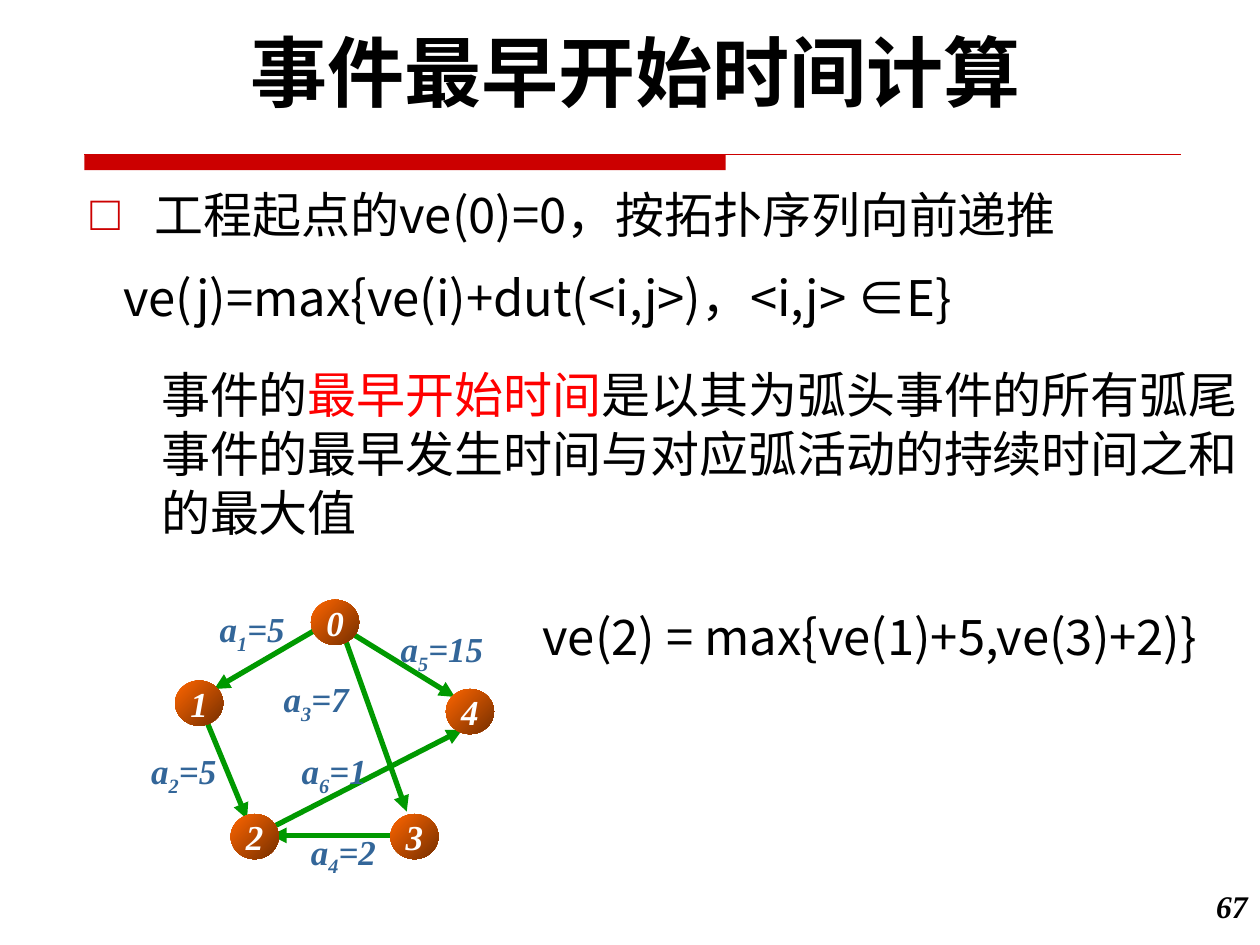
from lxml import etree
from pptx import Presentation
from pptx import util as u
from pptx.dml.color import RGBColor
from pptx.enum import shapes, text
from pptx.oxml.ns import qn

BLACK, RED, BAR = "000000", "FF0000", "CC0000"
GREEN, BLUE, WHITE = "009900", "336699", "FFFFFF"
SANS, SERIF = "Noto Sans CJK SC", "Times New Roman"
BODY = {"size": u.Pt(28), "name": SANS}
LABEL = {"size": u.Pt(20), "name": SERIF, "bold": True, "italic": True}
LINE = u.Pt(33.8)


def rgb(value):
    return RGBColor.from_string(value)


class Deck:
    """Holds the style and the current slide."""

    def __init__(self, prs):
        self.s = prs.slides.add_slide(prs.slide_layouts[1])

    def place(self, sp, *box):
        for name, value in zip(("left", "top", "width", "height"), box):
            setattr(sp, name, u.Cm(value))

    def frame(self, sp, **fmt):
        tf = sp.text_frame
        values = {"word_wrap": True, "auto_size": text.MSO_AUTO_SIZE.NONE,
                  "vertical_anchor": text.MSO_ANCHOR.TOP, **fmt}
        for name, value in values.items():
            setattr(tf, name, value)
        return tf

    def run(self, p, words, fmt, color=BLACK, baseline=None):
        r = p.add_run()
        r.text = words
        for name, value in fmt.items():
            setattr(r.font, name, value)
        r.font.color.rgb = rgb(color)
        rPr = r.font._element
        etree.SubElement(rPr, qn("a:ea")).set("typeface", fmt["name"])
        if baseline:
            rPr.set("baseline", str(baseline))

    def title(self, words, box):
        sp = self.s.shapes.title
        self.place(sp, *box)
        p = self.frame(sp).paragraphs[0]
        p.alignment = text.PP_ALIGN.CENTER
        self.run(p, words, {"size": u.Pt(44), "name": "Cabin", "bold": True})

    def body(self, bullet, formula, box):
        sp = self.s.placeholders[1]
        self.place(sp, *box)
        tf = self.frame(sp)
        p, q = tf.paragraphs[0], tf.add_paragraph()
        for para, left, indent in ((p, 1.3, -1.3), (q, 0.66, 0)):
            pPr = para._p.get_or_add_pPr()
            pPr.set("marL", str(u.Cm(left)))
            pPr.set("indent", str(u.Cm(indent)))
        pPr = p._p.pPr
        clr = etree.SubElement(pPr, qn("a:buClr"))
        etree.SubElement(clr, qn("a:srgbClr")).set("val", BAR)
        etree.SubElement(pPr, qn("a:buChar")).set("char", "□")
        etree.SubElement(q._p.pPr, qn("a:buNone"))
        for para, words, before in ((p, bullet, 0), (q, formula, 14)):
            para.space_before = u.Pt(before)
            para.line_spacing = LINE
            self.run(para, words, BODY)

    def textbox(self, runs, box, fmt, align=text.PP_ALIGN.LEFT, spacing=None, **frame):
        sp = self.s.shapes.add_textbox(*map(u.Cm, box))
        p = self.frame(sp, **frame).paragraphs[0]
        p.alignment, p.line_spacing = align, spacing
        for r in runs:
            self.run(p, r[0], fmt, *r[1:])

    def bar(self, color, box):
        sp = self.s.shapes.add_shape(shapes.MSO_SHAPE.RECTANGLE, *map(u.Cm, box))
        sp.shadow.inherit = False
        sp.fill.solid()
        sp.fill.fore_color.rgb = rgb(color)
        sp.line.fill.background()

    def line(self, start, end, color, width, arrow=False):
        c = self.s.shapes.add_connector(
            shapes.MSO_CONNECTOR.STRAIGHT, *map(u.Cm, start + end))
        c.line.color.rgb = rgb(color)
        c.line.width = u.Pt(width)
        if arrow:
            etree.SubElement(c.line._get_or_add_ln(), qn("a:tailEnd")).set("type", "triangle")
        etree.SubElement(c._element.spPr, qn("a:effectLst"))

    def node(self, name, left, top):
        sp = self.s.shapes.add_shape(
            shapes.MSO_SHAPE.OVAL, *map(u.Cm, (left, top, 0.97, 0.91)))
        sp.shadow.inherit = False
        sp.fill.gradient()
        sp.fill.gradient_angle = 315
        for stop, color, pos in zip(sp.fill.gradient_stops, ("FF6600", "762F00"), (0, 1)):
            stop.color.rgb = rgb(color)
            stop.position = pos
        sp.line.fill.background()
        tf = self.frame(sp, word_wrap=False, margin_left=0, margin_right=0,
                        vertical_anchor=text.MSO_ANCHOR.MIDDLE)
        p = tf.paragraphs[0]
        p.alignment = text.PP_ALIGN.CENTER
        self.run(p, name, LABEL, WHITE)

    def activity(self, index, days, left, top, width):
        runs = (("a", BLUE), (str(index), BLUE, -25000), (f"={days}", BLUE))
        self.textbox(runs, (left, top, width, 1.1), LABEL, text.PP_ALIGN.CENTER,
                     margin_left=0, margin_right=0)


def main():
    prs = Presentation()
    prs.slide_width, prs.slide_height = u.Cm(25.4), u.Cm(19.05)
    d = Deck(prs)

    # Title and rule
    d.bar(BAR, (1.7, 3.12, 12.93, 0.31))
    d.line((1.7, 3.12), (23.8, 3.12), BAR, 0.75)
    d.title("事件最早开始时间计算", (1.07, 0.36, 23.5, 2.13))

    # Recurrence and its explanation
    d.body("工程起点的ve(0)=0，按拓扑序列向前递推",
           "ve(j)=max{ve(i)+dut(<i,j>)，<i,j> ∈E}", (1.57, 3.58, 24.33, 3.35))
    d.textbox((("事件的",), ("最早开始时间", RED),
               ("是以其为弧头事件的所有弧尾事件的最早发生时间与对应弧活动的持续时间之和的最大值",)),
              (3, 7.21, 22.4, 3.84), BODY, spacing=LINE)

    # Graph: arcs, then events, then activity labels
    arcs = (((7.06, 12.75), (9.17, 14.05)), ((4.17, 14.55), (4.98, 16.51)),
            ((6.58, 12.57), (4.32, 13.89)), ((6.91, 12.75), (8.2, 16.36)),
            ((7.87, 16.84), (5.46, 16.84)), ((5.46, 16.69), (9.32, 14.71)))
    for start, end in arcs:
        d.line(start, end, GREEN, 3, arrow=True)

    events = ((6.27, 12.09), (3.53, 13.72), (4.65, 16.41), (7.87, 16.41), (8.99, 13.89))
    for i, (left, top) in enumerate(events):
        d.node(str(i), left, top)

    activities = ((5, 3.94, 12.12, 2.29), (5, 2.69, 14.99, 2.03), (7, 5.18, 13.54, 2.39),
                  (2, 5.82, 16.61, 2.21), (15, 7.87, 12.52, 2.08), (1, 5.61, 14.99, 2.26))
    for i, activity in enumerate(activities, 1):
        d.activity(i, *activity)

    # Worked example and page number
    d.textbox((("ve(2) = max{ve(1)+5,ve(3)+2)}",),), (10.69, 12.09, 14.45, 1.45),
              BODY, spacing=LINE)
    d.textbox((("67",),), (23.7, 17.75, 1.7, 1.3), {**LABEL, "size": u.Pt(18)},
              text.PP_ALIGN.RIGHT)

    prs.save("out.pptx")


if __name__ == "__main__":
    main()
